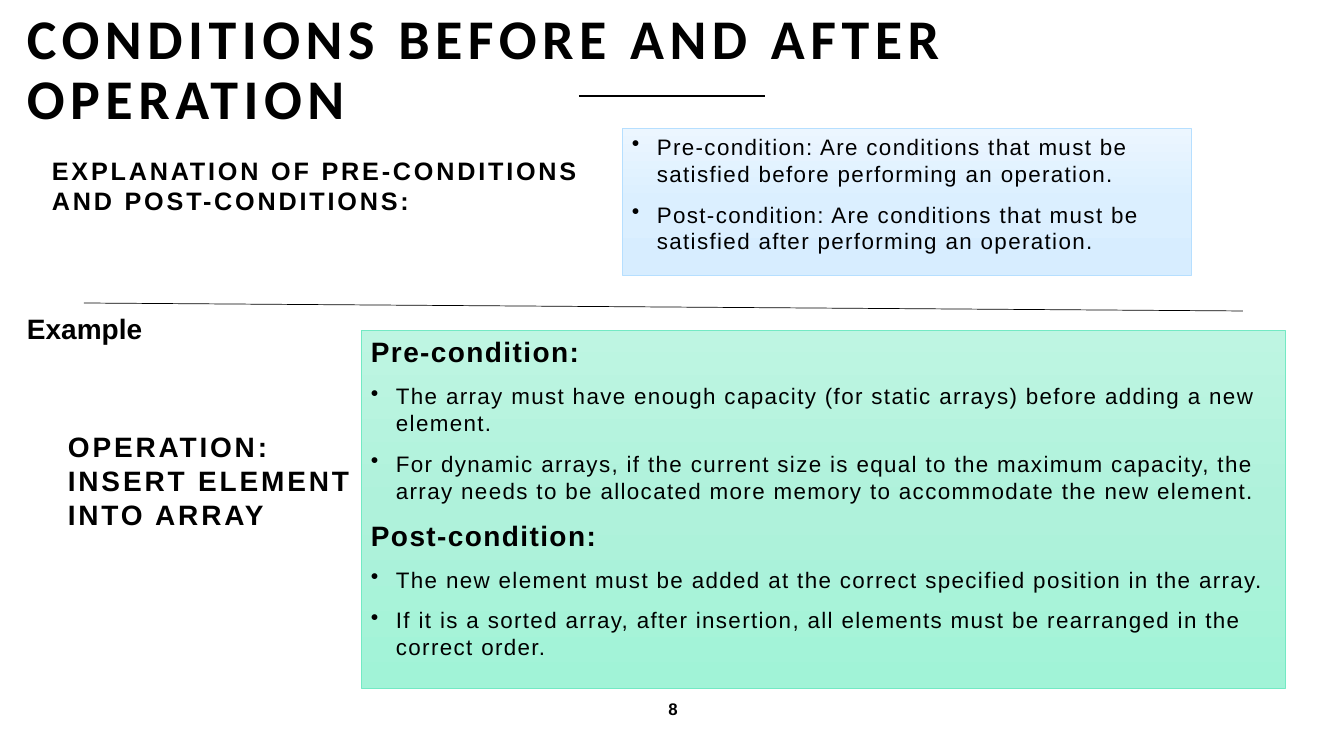
from copy import deepcopy

from pptx import Presentation
from pptx.dml.color import RGBColor
from pptx.enum.shapes import MSO_CONNECTOR, MSO_SHAPE
from pptx.enum.text import MSO_ANCHOR, PP_ALIGN
from pptx.oxml.ns import qn
from pptx.oxml.xmlchemy import OxmlElement
from pptx.util import Pt

# Content: (format, text) for each paragraph
TITLE = [("title", "CONDITIONS BEFORE AND AFTER OPERATION")]
EXPLANATION = [("topic", "EXPLANATION OF PRE-CONDITIONS AND POST-CONDITIONS:")]
DEFINITIONS = [
    ("bullet", "Pre-condition: Are conditions that must be satisfied before performing an operation."),
    ("bullet", "Post-condition: Are conditions that must be satisfied after performing an operation."),
]
EXAMPLE = [("example", "Example")]
OPERATION = [("operation", "OPERATION: INSERT ELEMENT INTO ARRAY")]
CONDITIONS = [
    ("heading", "Pre-condition:"),
    ("bullet", "The array must have enough capacity (for static arrays) before adding a new element."),
    ("bullet", "For dynamic arrays, if the current size is equal to the maximum capacity, "
               "the array needs to be allocated more memory to accommodate the new element."),
    ("heading", "Post-condition:"),
    ("bullet", "The new element must be added at the correct specified position in the array."),
    ("bullet", "If it is a sorted array, after insertion, all elements must be rearranged in the correct order."),
]
PAGE_NUMBER = [("page", "8")]

COLORS = {
    "ink": "000000",
    "blue_top": "ECF6FF", "blue_mid": "DBEFFF", "blue_end": "D7EDFF", "blue_line": "B6DFFF",
    "green_top": "BEF5E2", "green_mid": "AFF2DB", "green_end": "A1F3D7", "green_line": "73E9C4",
}

# Font values, and letter spacing in points
FORMATS = {
    "title": ({"name": "Calibri", "size": Pt(40), "bold": True}, 4),
    "topic": ({"name": "Arial", "size": Pt(18), "bold": True}, 2),
    "operation": ({"name": "Arial", "size": Pt(20), "bold": True}, 2),
    "heading": ({"name": "Arial", "size": Pt(20), "bold": True}, 1),
    "bullet": ({"name": "Arial", "size": Pt(16), "bold": False}, 1),
    "example": ({"name": "Arial", "size": Pt(20), "bold": True}, 0),
    "page": ({"name": "Arial", "size": Pt(12), "bold": True}, 2),
}

# Layout in px: left, top, width, height
PX = 914400 / 100.8
SLIDE_SIZE = (1344, 756)
INDENT = 25
PLAIN_TEXTS = [
    (EXPLANATION, (42, 150, 569, 77), {}),
    (OPERATION, (58, 425, 310, 135), {}),
    (EXAMPLE, (17, 307, 143, 44), {}),
    (TITLE, (17, -25, 1210, 173),
     {"vertical_anchor": MSO_ANCHOR.MIDDLE, "margin_top": round(20 * PX), "margin_bottom": 0}),
    (PAGE_NUMBER, (446, 662, 454, 94), {"vertical_anchor": MSO_ANCHOR.MIDDLE}),
]
PANELS = [
    (DEFINITIONS, (622, 128, 569, 147), "blue"),
    (CONDITIONS, (361, 330, 924, 358), "green"),
]
# x1, y1, x2, y2, width in points
RULES = [(579, 96, 765, 96, 1), (84, 303, 1243, 311, 0.5)]


def emu(lengths):
    return [round(length * PX) for length in lengths]


def rgb(name):
    return RGBColor.from_string(COLORS[name])


def write(frame, paragraphs, **settings):
    for key, value in {"word_wrap": True, **settings}.items():
        setattr(frame, key, value)
    for number, (style, text) in enumerate(paragraphs):
        paragraph = frame.add_paragraph() if number else frame.paragraphs[0]
        paragraph.alignment = PP_ALIGN.CENTER if style == "page" else PP_ALIGN.LEFT
        if style == "title":
            paragraph.line_spacing = 0.9
        if number:
            paragraph.space_before = Pt(10)
        if style == "bullet":
            properties = paragraph._p.get_or_add_pPr()
            properties.set("marL", str(round(INDENT * PX)))
            properties.set("indent", str(round(-INDENT * PX)))
            bullet = OxmlElement("a:buChar")
            bullet.set("char", "•")
            properties.append(bullet)
        run = paragraph.add_run()
        run.text = text
        values, spacing = FORMATS[style]
        for key, value in values.items():
            setattr(run.font, key, value)
        run.font.color.rgb = rgb("ink")
        run._r.get_or_add_rPr().set("spc", str(spacing * 100))


def shade(panel, hue):
    panel.shadow.inherit = False
    panel.fill.gradient()
    panel.fill.gradient_angle = 270
    stops = panel._element.spPr.find(qn("a:gradFill")).find(qn("a:gsLst"))
    stops.insert(1, deepcopy(stops[0]))
    for stop, (part, position) in zip(panel.fill.gradient_stops,
                                      [("top", 0), ("mid", 0.5), ("end", 1)]):
        stop.position = position
        stop.color.rgb = rgb(f"{hue}_{part}")
    panel.line.color.rgb = rgb(f"{hue}_line")
    panel.line.width = Pt(0.5)


def main():
    deck = Presentation()
    deck.slide_width, deck.slide_height = emu(SLIDE_SIZE)
    slide = deck.slides.add_slide(deck.slide_layouts[6])

    # Rules
    for *ends, width in RULES:
        rule = slide.shapes.add_connector(MSO_CONNECTOR.STRAIGHT, *emu(ends))
        rule.line.color.rgb = rgb("ink")
        rule.line.width = Pt(width)
        rule._element.spPr.append(OxmlElement("a:effectLst"))

    # Shaded panels
    for paragraphs, box, hue in PANELS:
        panel = slide.shapes.add_shape(MSO_SHAPE.RECTANGLE, *emu(box))
        shade(panel, hue)
        write(panel.text_frame, paragraphs, vertical_anchor=MSO_ANCHOR.TOP)

    # Title, labels and page number
    for paragraphs, box, settings in PLAIN_TEXTS:
        label = slide.shapes.add_textbox(*emu(box))
        write(label.text_frame, paragraphs, **settings)

    deck.save("out.pptx")


if __name__ == "__main__":
    main()
